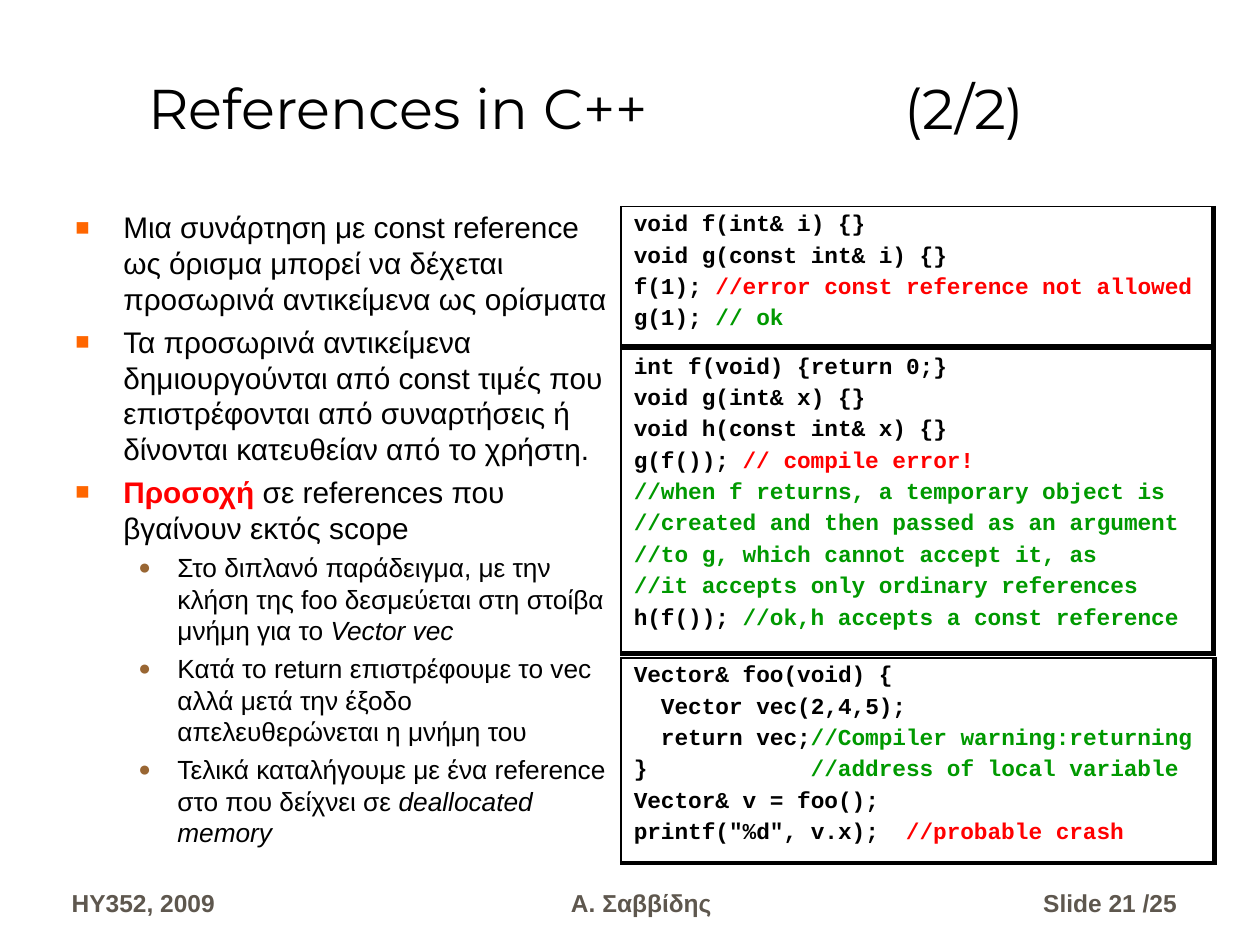
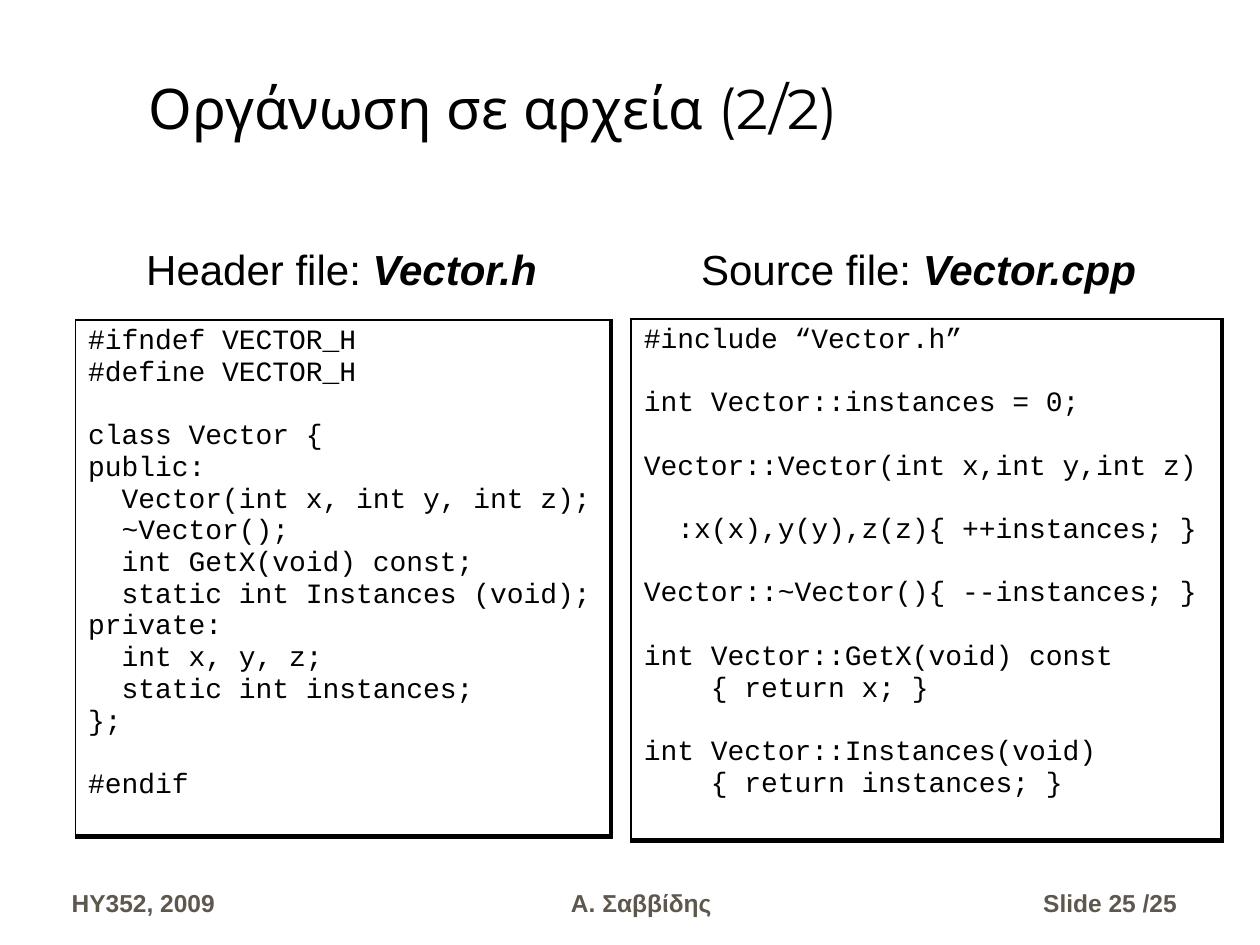
from dataclasses import dataclass
from typing import Optional

from lxml.etree import SubElement
from pptx import Presentation
from pptx.dml.color import RGBColor
from pptx.enum.text import MSO_ANCHOR, PP_ALIGN
from pptx.oxml.ns import qn
from pptx.slide import Slide
from pptx.util import Inches, Pt

COLORS = {
    "text": "000000",
    "paper": "FFFFFF",
    "footer": "5E574E",
    "error": "FF0000",
    "comment": "009900",
    "square": "FF6600",
    "dot": "996633",
}
SANS, MONO, DISPLAY = "Arial", "Courier New", "Montserrat"


@dataclass(frozen=True)
class Box:
    left: float
    top: float
    width: float
    height: float

    def lengths(self) -> tuple:
        return tuple(Inches(v) for v in (self.left, self.top, self.width, self.height))


@dataclass(frozen=True)
class Run:
    text: str
    color: str = "text"
    bold: bool = False
    italic: bool = False


@dataclass(frozen=True)
class Style:
    font: str
    size: float
    bold: bool = False
    before: float = 0
    align: PP_ALIGN = PP_ALIGN.LEFT


@dataclass(frozen=True)
class Bullet:
    char: str
    color: str
    margin: float
    hanging: float


@dataclass(frozen=True)
class Line:
    runs: tuple
    style: Style
    bullet: Optional[Bullet] = None
    tab: Optional[float] = None


@dataclass(frozen=True)
class CodePanel:
    box: Box
    lines: list


TITLE = Style(DISPLAY, 32)
HEADING = Style(SANS, 24, align=PP_ALIGN.CENTER)
TOPIC = Style(SANS, 17, before=4.2)
DETAIL = Style(SANS, 15, before=3.7)
SNIPPET = Style(MONO, 13, bold=True, before=3.3)
LISTING = Style(MONO, 16)
LISTING_GAP = Style(MONO, 16, before=18.1)
SQUARE = Bullet("■", "square", 0.38, 0.38)
DOT = Bullet("●", "dot", 0.81, 0.31)
TITLE_BOX = Box(1.08, 0.17, 8.92, 1)


def topic(*runs: Run) -> Line:
    return Line(runs, TOPIC, SQUARE)


def detail(*runs: Run) -> Line:
    return Line(runs, DETAIL, DOT)


def snippet(code: str, comment: str = "", color: str = "comment") -> Line:
    return Line(tuple(r for r in (Run(code), Run(comment, color)) if r.text), SNIPPET)


def listing(*blocks: str) -> list:
    return [
        Line((Run(code),), LISTING_GAP if b and not i else LISTING)
        for b, block in enumerate(blocks)
        for i, code in enumerate(block.split("\n"))
    ]


def rgb(name: str) -> RGBColor:
    return RGBColor.from_string(COLORS[name])


def add_bullet(pPr, bullet: Bullet) -> None:
    pPr.set("marL", str(Inches(bullet.margin)))
    pPr.set("indent", str(-Inches(bullet.hanging)))
    color = SubElement(pPr, qn("a:buClr"))
    SubElement(color, qn("a:srgbClr"), val=COLORS[bullet.color])
    SubElement(pPr, qn("a:buSzPct"), val="80000")
    SubElement(pPr, qn("a:buFont"), typeface=SANS)
    SubElement(pPr, qn("a:buChar"), char=bullet.char)


def write_lines(tf, lines: list) -> None:
    for i, line in enumerate(lines):
        p = tf.add_paragraph() if i else tf.paragraphs[0]
        style = line.style
        p.alignment = style.align
        p.space_before = Pt(style.before if i else 0)
        pPr = p._p.get_or_add_pPr()
        if line.bullet:
            add_bullet(pPr, line.bullet)
        if line.tab:
            tabs = SubElement(pPr, qn("a:tabLst"))
            SubElement(tabs, qn("a:tab"), pos=str(Inches(line.tab)), algn="l")
        for run in line.runs:
            r = p.add_run()
            r.text = run.text
            r.font.name = style.font
            r.font.size = Pt(style.size)
            r.font.bold = style.bold or run.bold
            r.font.italic = run.italic
            r.font.color.rgb = rgb(run.color)


def add_text(s: Slide, box: Box, lines: list, anchor: MSO_ANCHOR = MSO_ANCHOR.BOTTOM) -> None:
    tf = s.shapes.add_textbox(*box.lengths()).text_frame
    tf.word_wrap = True
    tf.vertical_anchor = anchor
    write_lines(tf, lines)


def add_code(s: Slide, panel: CodePanel) -> None:
    table = s.shapes.add_table(1, 1, *panel.box.lengths()).table
    table.first_row = table.horz_banding = False
    cell = table.cell(0, 0)
    tcPr = cell._tc.get_or_add_tcPr()
    for side, width in (("L", 1.08), ("R", 3), ("T", 1.08), ("B", 3)):
        ln = SubElement(tcPr, qn(f"a:ln{side}"), w=str(Pt(width)))
        fill = SubElement(ln, qn("a:solidFill"))
        SubElement(fill, qn("a:srgbClr"), val=COLORS["text"])
    cell.fill.solid()
    cell.fill.fore_color.rgb = rgb("paper")
    write_lines(cell.text_frame, panel.lines)


def add_page(prs: Presentation, number: int, title: str, tab: Optional[float] = None) -> Slide:
    s = prs.slides.add_slide(prs.slide_layouts[6])
    add_text(s, TITLE_BOX, [Line((Run(title),), TITLE, tab=tab)])
    for left, width, text, align in (
        (0.47, 1.63, "HY352, 2009", PP_ALIGN.LEFT),
        (2.18, 5.82, "Α. Σαββίδης", PP_ALIGN.CENTER),
        (8.07, 1.37, f"Slide {number} /25", PP_ALIGN.RIGHT),
    ):
        style = Style(SANS, 14, bold=True, align=align)
        add_text(s, Box(left, 6.83, width, 0.5), [Line((Run(text, "footer"),), style)])
    return s


REFERENCE_NOTES = [
    topic(Run("Μια συνάρτηση με const reference ως όρισμα μπορεί να δέχεται προσωρινά αντικείμενα ως ορίσματα")),
    topic(Run("Τα προσωρινά αντικείμενα δημιουργούνται από const τιμές που επιστρέφονται από συναρτήσεις ή δίνονται κατευθείαν από το χρήστη.")),
    topic(Run("Προσοχή ", "error", bold=True), Run("σε references που βγαίνουν εκτός scope")),
    detail(
        Run("Στο διπλανό παράδειγμα, με την κλήση της foo δεσμεύεται στη στοίβα μνήμη για το "),
        Run("Vector vec", italic=True),
    ),
    detail(Run("Κατά το return επιστρέφουμε το vec αλλά μετά την έξοδο απελευθερώνεται η μνήμη του")),
    detail(
        Run("Τελικά καταλήγουμε με ένα reference στο που δείχνει σε "),
        Run("deallocated memory", italic=True),
    ),
]

REFERENCE_CODE = [
    CodePanel(Box(4.93, 1.64, 4.7, 1.1), [
        snippet("void f(int& i) {}"),
        snippet("void g(const int& i) {}"),
        snippet("f(1); ", "//error const reference not allowed", "error"),
        snippet("g(1); ", "// ok"),
    ]),
    CodePanel(Box(4.93, 2.77, 4.7, 2.4), [
        snippet("int f(void) {return 0;}"),
        snippet("void g(int& x) {}"),
        snippet("void h(const int& x) {}"),
        snippet("g(f()); ", "// compile error!", "error"),
        snippet("", "//when f returns, a temporary object is"),
        snippet("", "//created and then passed as an argument"),
        snippet("", "//to g, which cannot accept it, as"),
        snippet("", "//it accepts only ordinary references"),
        snippet("h(f()); ", "//ok,h accepts a const reference"),
    ]),
    CodePanel(Box(4.93, 5.22, 4.71, 1.62), [
        snippet("Vector& foo(void) {"),
        snippet("  Vector vec(2,4,5);"),
        snippet("  return vec;", "//Compiler warning:returning"),
        snippet("}            ", "//address of local variable"),
        snippet("Vector& v = foo();"),
        snippet('printf("%d", v.x);  ', "//probable crash", "error"),
    ]),
]

FILE_HEADINGS = [
    (0.5, "Header file: ", "Vector.h"),
    (5.08, "Source file: ", "Vector.cpp"),
]

FILE_CODE = [
    CodePanel(Box(0.6, 2.54, 4.25, 4.1), listing(
        "#ifndef VECTOR_H\n#define VECTOR_H",
        "class Vector {\npublic:\n  Vector(int x, int y, int z);\n  ~Vector();\n"
        "  int GetX(void) const;\n  static int Instances (void);\n"
        "private:\n  int x, y, z;\n  static int instances;\n};",
        "#endif",
    )),
    CodePanel(Box(5.01, 2.53, 4.69, 4.14), listing(
        "#include “Vector.h”",
        "int Vector::instances = 0;",
        "Vector::Vector(int x,int y,int z)",
        "  :x(x),y(y),z(z){ ++instances; }",
        "Vector::~Vector(){ --instances; }",
        "int Vector::GetX(void) const\n    { return x; }",
        "int Vector::Instances(void)\n    { return instances; }",
    )),
]


def main() -> None:
    prs = Presentation()
    prs.slide_width, prs.slide_height = Inches(10), Inches(7.5)

    s = add_page(prs, 21, "References in C++\t(2/2)", tab=6)
    add_text(s, Box(0.5, 1.61, 4.45, 5.22), REFERENCE_NOTES, MSO_ANCHOR.TOP)
    for panel in REFERENCE_CODE:
        add_code(s, panel)

    s = add_page(prs, 25, "Οργάνωση σε αρχεία (2/2)")
    for left, label, name in FILE_HEADINGS:
        runs = (Run(label), Run(name, bold=True, italic=True))
        add_text(s, Box(left, 1.68, 4.42, 0.7), [Line(runs, HEADING)])
    for panel in FILE_CODE:
        add_code(s, panel)

    prs.save("out.pptx")


if __name__ == "__main__":
    main()
